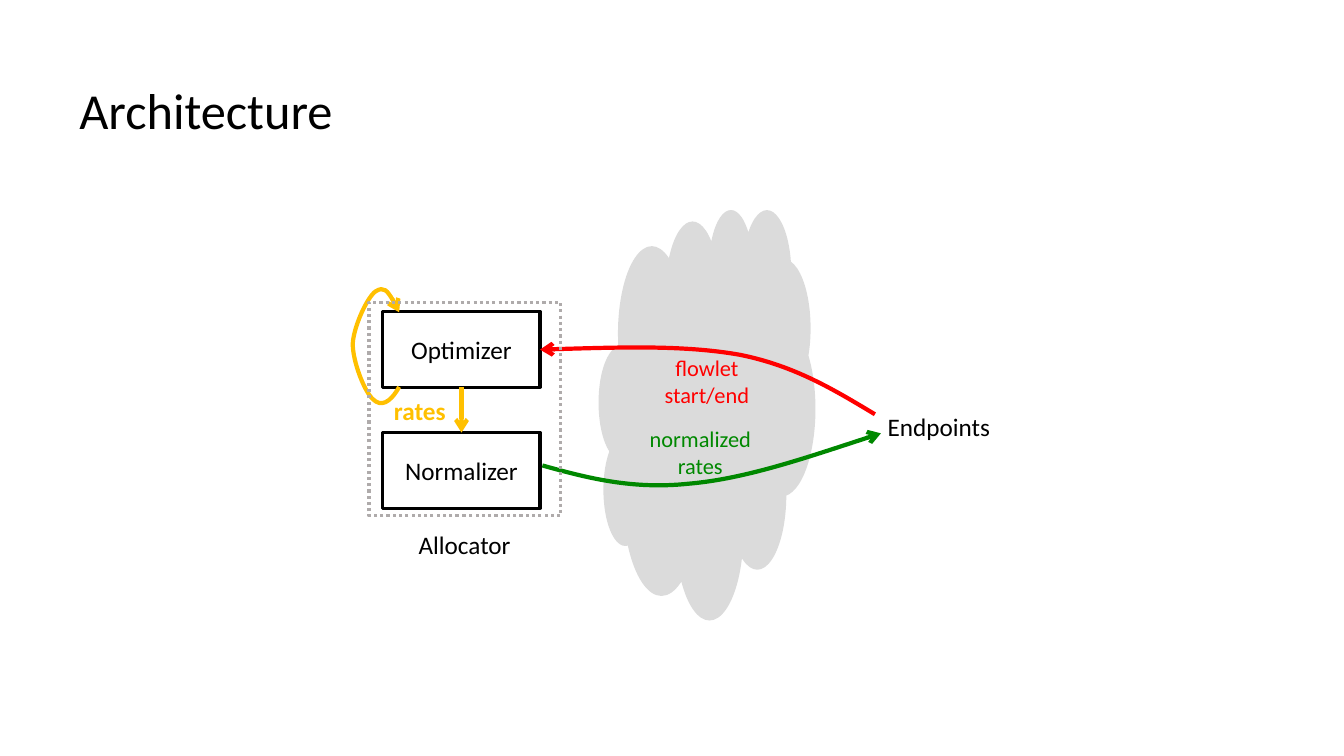
from dataclasses import dataclass

from lxml import etree
from pptx import Presentation
from pptx.dml.color import RGBColor
from pptx.enum.dml import MSO_LINE
from pptx.enum.shapes import MSO_CONNECTOR, MSO_SHAPE
from pptx.enum.text import MSO_ANCHOR, MSO_AUTO_SIZE, PP_ALIGN
from pptx.oxml.ns import qn
from pptx.util import Cm, Pt

LEFT, CENTER = PP_ALIGN.LEFT, PP_ALIGN.CENTER
TOP, MIDDLE = MSO_ANCHOR.TOP, MSO_ANCHOR.MIDDLE
RECT, CLOUD = MSO_SHAPE.RECTANGLE, MSO_SHAPE.CLOUD
STRAIGHT = MSO_CONNECTOR.STRAIGHT
FIT = MSO_AUTO_SIZE.SHAPE_TO_FIT_TEXT
DOTS = MSO_LINE.ROUND_DOT

FONT = "Calibri"
COLORS = {
    "black": "000000",
    "white": "FFFFFF",
    "gold": "FFC000",
    "red": "FF0000",
    "green": "008800",
    "gray": "AFABAB",
}


@dataclass
class Label:
    text: str
    box: tuple
    color: str = "black"
    size: int = 18
    align: int = CENTER
    bold: bool = False


@dataclass
class Curve:
    color: str
    points: list


STAGES = [("Optimizer", 7.85), ("Normalizer", 10.9)]
STAGE_X, STAGE_W, STAGE_H = 9.65, 3.96, 1.91

LOOP = Curve("gold", [
    (10.06, 9.75), (9.83, 10.16), (9.6, 10.26), (9.4, 10.06),
    (9.19, 9.88), (8.89, 9.12), (8.89, 8.66),
    (8.92, 8.2), (9.27, 7.47), (9.47, 7.34),
    (9.68, 7.21), (9.86, 7.42), (10.06, 7.87)])
START = Curve("red", [
    (22.05, 10.44), (21.03, 9.83), (20.04, 9.22), (18.64, 8.94),
    (17.22, 8.69), (15.42, 8.76), (13.61, 8.81)])
RATES = Curve("green", [
    (13.67, 11.73), (14.78, 12.04), (15.93, 12.34), (17.35, 12.19),
    (18.77, 12.07), (20.47, 11.48), (22.2, 10.92)])

TITLE = Label("Architecture", (1.75, 1.02, 30.1, 3.68), size=36, align=LEFT)
ENDS = Label("Endpoints", (22.12, 10.24, 3.12, 1.02), align=LEFT)
LOOP_TEXT = Label("rates", (9.68, 9.83, 1.83, 1.02), "gold", align=LEFT, bold=True)
START_TEXT = Label("flowlet\nstart/end", (16.48, 8.79, 2.67, 1.63), "red", 16)
RATES_TEXT = Label("normalized\vrates", (16.1, 10.59, 3.1, 1.63), "green", 16)
GROUP_TEXT = Label("Allocator", (10.29, 13.21, 2.84, 1.02))


def rgb(name: str) -> RGBColor:
    return RGBColor.from_string(COLORS[name])


def write(frame, label: Label, anchor=TOP) -> None:
    frame.text = label.text
    frame.vertical_anchor = anchor
    for par in frame.paragraphs:
        par.alignment = label.align
        for run in par.runs:
            run.font.name = FONT
            run.font.size = Pt(label.size)
            run.font.bold = label.bold
            run.font.color.rgb = rgb(label.color)


def add_label(slide, label: Label) -> None:
    frame = slide.shapes.add_textbox(*map(Cm, label.box)).text_frame
    write(frame, label)
    frame.word_wrap = False
    frame.auto_size = FIT


def add_title(slide, label: Label) -> None:
    frame = slide.shapes.add_textbox(*map(Cm, label.box)).text_frame
    write(frame, label, MIDDLE)
    frame.word_wrap = True
    frame.paragraphs[0].line_spacing = 0.9


def add_form(slide, kind, box: tuple, fill: str = "", edge: str = ""):
    form = slide.shapes.add_shape(kind, *map(Cm, box))
    form.shadow.inherit = False
    if fill:
        form.fill.solid()
        form.fill.fore_color.rgb = rgb(fill)
    else:
        form.fill.background()
    if edge:
        form.line.color.rgb = rgb(edge)
        form.line.width = Pt(2.25)
    else:
        form.line.fill.background()
    return form


def add_cloud(slide) -> None:
    cloud = add_form(slide, CLOUD, (15.09, 5.26, 5.46, 10.34), "black")
    color = cloud.fill._xPr.find(qn("a:solidFill"))[0]
    etree.SubElement(color, qn("a:alpha"), val="14000")


def add_stage(slide, name: str, top: float) -> None:
    box = (STAGE_X, top, STAGE_W, STAGE_H)
    stage = add_form(slide, RECT, box, "white", "black")
    write(stage.text_frame, Label(name, box), MIDDLE)


def add_head(line, color: str) -> None:
    line.color.rgb = rgb(color)
    line.width = Pt(3)
    etree.SubElement(line._get_or_add_ln(), qn("a:tailEnd"), type="arrow")


def add_curve(slide, curve: Curve) -> None:
    first, *rest = [(Cm(x), Cm(y)) for x, y in curve.points]
    pen = slide.shapes.build_freeform(*first)
    pen.add_line_segments(rest, close=False)
    form = pen.convert_to_shape()
    form.shadow.inherit = False
    form.fill.background()
    add_head(form.line, curve.color)
    track = next(form._element.iter(qn("a:path")))
    steps = track.findall(qn("a:lnTo"))
    for i in range(0, len(steps), 3):
        bend = etree.SubElement(track, qn("a:cubicBezTo"))
        for step in steps[i:i + 3]:
            bend.append(step[0])
            track.remove(step)


def add_arrow(slide) -> None:
    mid = Cm(STAGE_X + STAGE_W / 2)
    top, low = STAGES[0][1] + STAGE_H, STAGES[1][1]
    arrow = slide.shapes.add_connector(STRAIGHT, mid, Cm(top), mid, Cm(low))
    add_head(arrow.line, "gold")
    etree.SubElement(arrow._element.spPr, qn("a:effectLst"))


def main() -> None:
    deck = Presentation()
    deck.slide_width, deck.slide_height = Cm(33.87), Cm(19.05)
    slide = deck.slides.add_slide(deck.slide_layouts[6])
    add_title(slide, TITLE)
    add_cloud(slide)
    add_label(slide, ENDS)
    for name, top in STAGES:
        add_stage(slide, name, top)
    add_curve(slide, LOOP)
    add_arrow(slide)
    add_label(slide, LOOP_TEXT)
    add_label(slide, START_TEXT)
    add_curve(slide, START)
    add_curve(slide, RATES)
    add_label(slide, RATES_TEXT)
    group = add_form(slide, RECT, (9.3, 7.62, 4.83, 5.38), edge="gray")
    group.line.dash_style = DOTS
    add_label(slide, GROUP_TEXT)
    deck.save("out.pptx")


if __name__ == "__main__":
    main()
